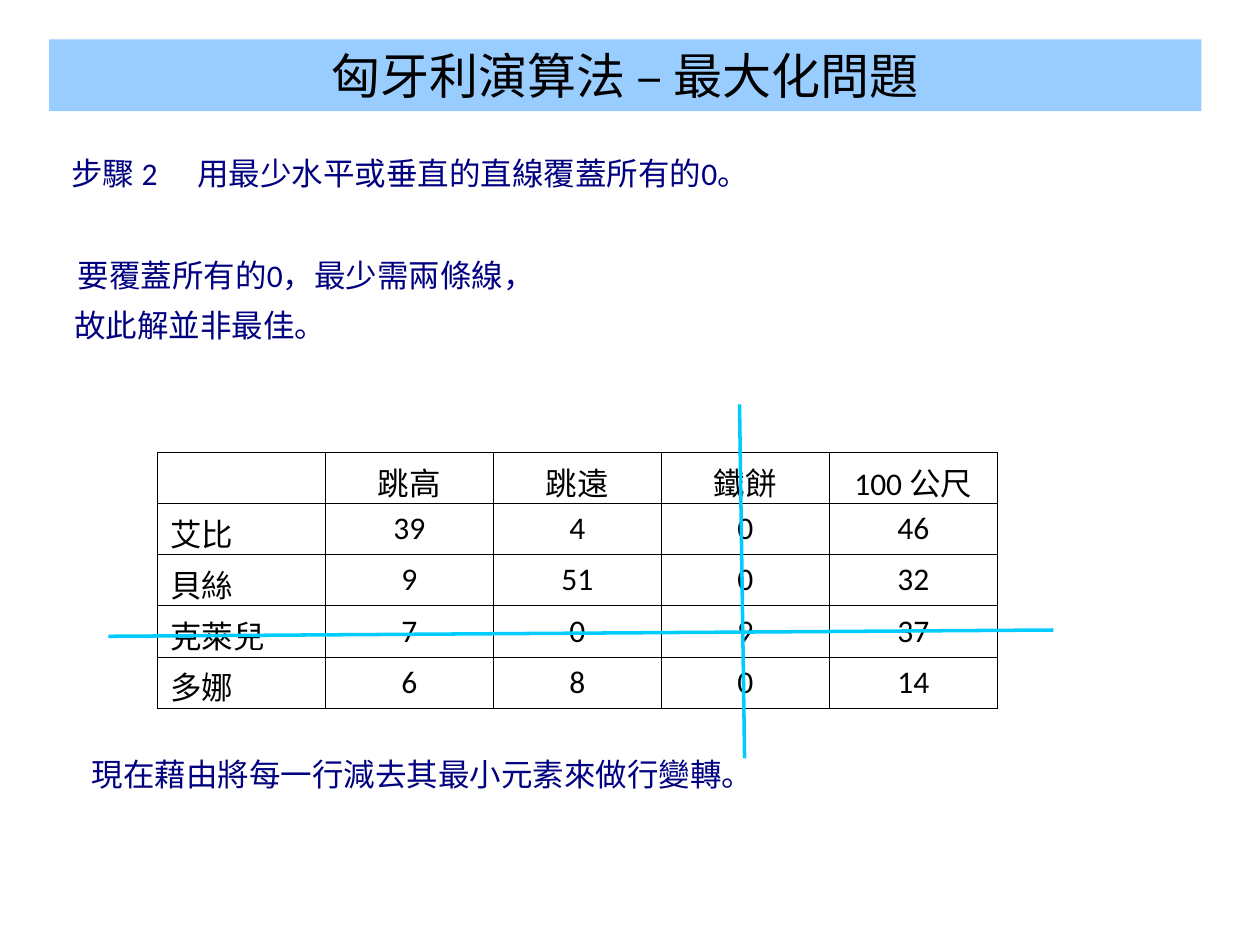
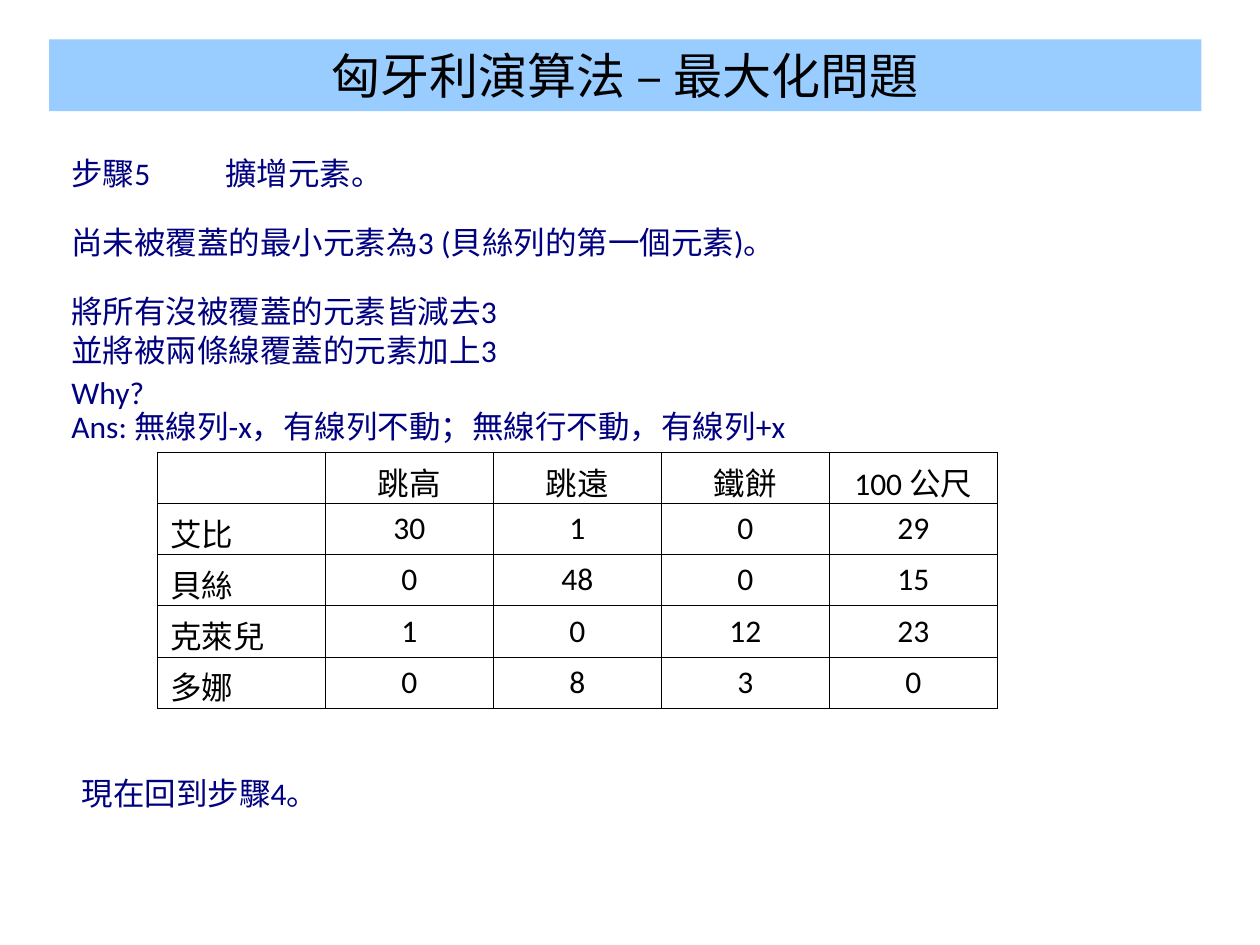
"""Build two slides on the Hungarian method for a maximisation problem."""
from dataclasses import dataclass
from typing import Any

from lxml.etree import SubElement as Sub
from pptx import Presentation
from pptx.dml.color import RGBColor
from pptx.enum.shapes import MSO_CONNECTOR as Conn
from pptx.enum.text import MSO_ANCHOR as Anchor, MSO_AUTO_SIZE as Auto, PP_ALIGN as Align
from pptx.oxml.ns import qn
from pptx.util import Pt

BLACK = RGBColor(0x00, 0x00, 0x00)
WHITE = RGBColor(0xFF, 0xFF, 0xFF)
NAVY = RGBColor(0x00, 0x00, 0x80)
BAND = RGBColor(0x99, 0xCC, 0xFF)
CYAN = RGBColor(0x00, 0xCC, 0xFF)

FACE = "Calibri"
TITLE = "匈牙利演算法 – 最大化問題"
HEADS = ["", "跳高", "跳遠", "鐵餅", "100 公尺"]
NAMES = ["艾比", "貝絲", "克萊兒", "多娜"]
COL, ROW = 96, 29.25
LEFT = 33.8

HEAD_FONT = {"name": FACE, "size": Pt(28), "bold": False}
TEXT_FONT = {"name": FACE, "size": Pt(18), "bold": False}
HEAD_BOX = {"left": Pt(28), "top": Pt(22.5), "width": Pt(658.5), "height": Pt(41)}
INSETS = {"margin_left": Pt(7.2), "margin_right": Pt(7.2),
          "margin_top": Pt(3.6), "margin_bottom": Pt(3.6),
          "vertical_anchor": Anchor.TOP, "word_wrap": True}


@dataclass
class Note:
    text: str
    top: float
    left: float = LEFT
    tab: float = 72


@dataclass
class Cover:
    x1: float
    y1: float
    x2: float
    y2: float


@dataclass
class Page:
    notes: list[Note]
    costs: list[list[int]]
    covers: list[Cover]


PAGES = [
    Page(
        [Note("步驟 2\t用最少水平或垂直的直線覆蓋所有的0。", 84.2),
         Note("要覆蓋所有的0，最少需兩條線，", 142.6, 37.4),
         Note("故此解並非最佳。", 171.4, 35.3),
         Note("現在藉由將每一行減去其最小元素來做行變轉。", 427.7, 45.4)],
        [[39, 4, 0, 46], [9, 51, 0, 32], [7, 0, 9, 37], [6, 8, 0, 14]],
        [Cover(422.6, 231.1, 425.5, 433.4), Cover(61.9, 363.6, 601.9, 360)],
    ),
    Page(
        [Note("步驟5\t擴增元素。", 84.2, tab=88),
         Note("尚未被覆蓋的最小元素為3 (貝絲列的第一個元素)。", 123.8),
         Note("將所有沒被覆蓋的元素皆減去3", 163.4),
         Note("並將被兩條線覆蓋的元素加上3", 185.8),
         Note("Why?", 209.5),
         Note("Ans: 無線列-x，有線列不動；無線行不動，有線列+x", 229),
         Note("現在回到步驟4。", 438.5, 39.6)],
        [[30, 1, 0, 29], [0, 48, 0, 15], [1, 0, 12, 23], [0, 8, 3, 0]],
        [],
    ),
]


def style(item: Any, look: dict[str, Any]) -> None:
    for key, value in look.items():
        setattr(item, key, value)


def write(frame: Any, text: str, look: dict[str, Any], color: RGBColor,
          align: Align = Align.LEFT, tab: float = 72) -> None:
    para = frame.paragraphs[0]
    para.alignment = align
    if "\t" in text:
        tabs = Sub(para._p.get_or_add_pPr(), qn("a:tabLst"))
        Sub(tabs, qn("a:tab"), pos=str(Pt(tab)), algn="l")
    run = para.add_run()
    run.text = text
    style(run.font, look)
    run.font.color.rgb = color


def add_head(slide: Any) -> None:
    head = slide.shapes.title
    style(head, HEAD_BOX)
    head.fill.solid()
    head.fill.fore_color.rgb = BAND
    style(head.text_frame, INSETS | {"auto_size": Auto.NONE})
    write(head.text_frame, TITLE, HEAD_FONT, BLACK, Align.CENTER)


def add_note(slide: Any, note: Note) -> None:
    box = slide.shapes.add_textbox(Pt(note.left), Pt(note.top), Pt(635.8), Pt(29))
    style(box.text_frame, INSETS | {"auto_size": Auto.SHAPE_TO_FIT_TEXT})
    write(box.text_frame, note.text, TEXT_FONT, NAVY, tab=note.tab)


def add_edges(cell: Any) -> None:
    props = cell._tc.get_or_add_tcPr()
    for side in ("lnL", "lnR", "lnT", "lnB"):
        edge = Sub(props, qn(f"a:{side}"), w=str(Pt(0.45)))
        Sub(Sub(edge, qn("a:solidFill")), qn("a:srgbClr"), val=str(BLACK))


def add_costs(slide: Any, costs: list[list[int]]) -> None:
    grid = [HEADS] + [[name, *map(str, row)] for name, row in zip(NAMES, costs)]
    rows, cols = len(grid), len(HEADS)
    table = slide.shapes.add_table(
        rows, cols, Pt(90), Pt(258.5), Pt(cols * COL), Pt(rows * ROW)).table
    style(table, {"first_row": False, "horz_banding": False})
    for row in table.rows:
        row.height = Pt(ROW)
    for r, line in enumerate(grid):
        for c, text in enumerate(line):
            cell = table.cell(r, c)
            add_edges(cell)
            cell.fill.solid()
            cell.fill.fore_color.rgb = WHITE
            if text:
                align = Align.CENTER if c else Align.LEFT
                write(cell.text_frame, text, TEXT_FONT, BLACK, align)


def add_cover(slide: Any, cover: Cover) -> None:
    line = slide.shapes.add_connector(
        Conn.STRAIGHT, Pt(cover.x1), Pt(cover.y1), Pt(cover.x2), Pt(cover.y2))
    line.line.color.rgb = CYAN
    line.line.width = Pt(2)
    Sub(line._element.spPr, qn("a:effectLst"))


def main() -> None:
    deck = Presentation()
    style(deck, {"slide_width": Pt(720), "slide_height": Pt(540)})
    for page in PAGES:
        slide = deck.slides.add_slide(deck.slide_layouts.get_by_name("Title Only"))
        add_head(slide)
        for note in page.notes:
            add_note(slide, note)
        add_costs(slide, page.costs)
        for cover in page.covers:
            add_cover(slide, cover)
    deck.save("out.pptx")


if __name__ == "__main__":
    main()
